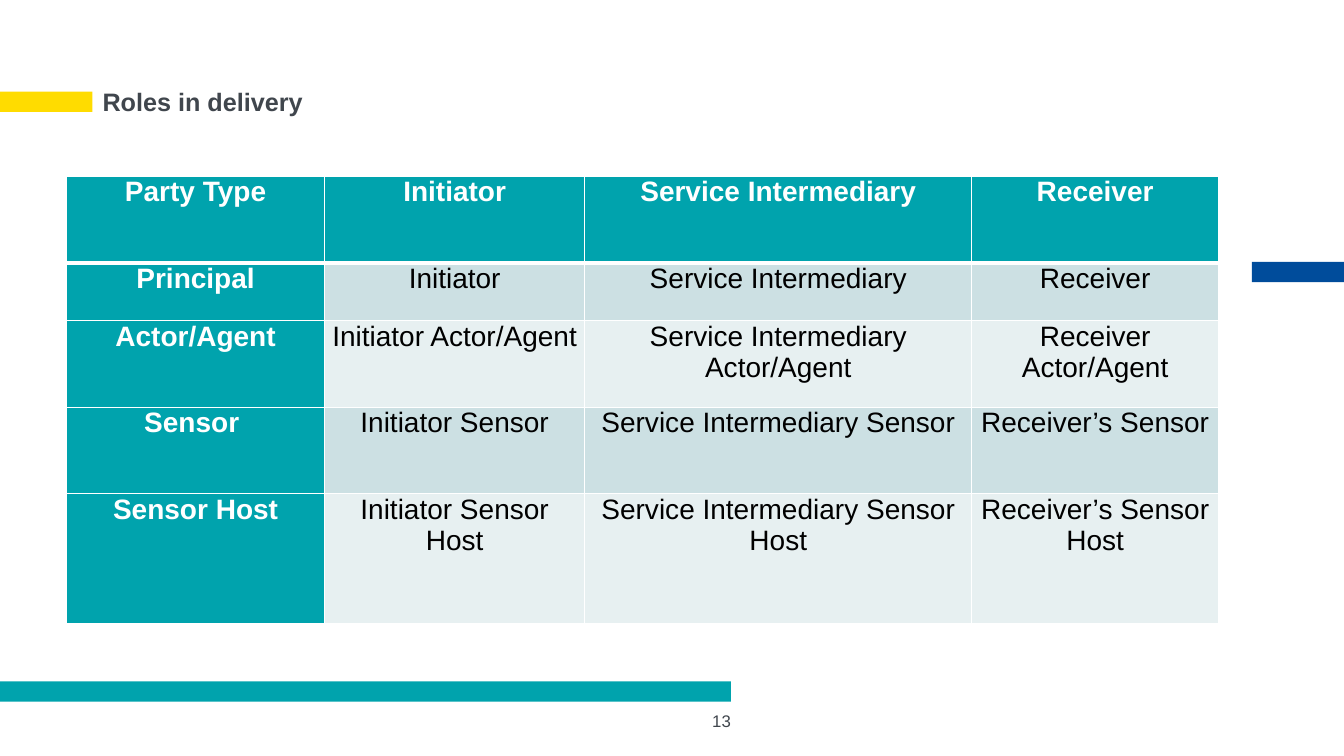
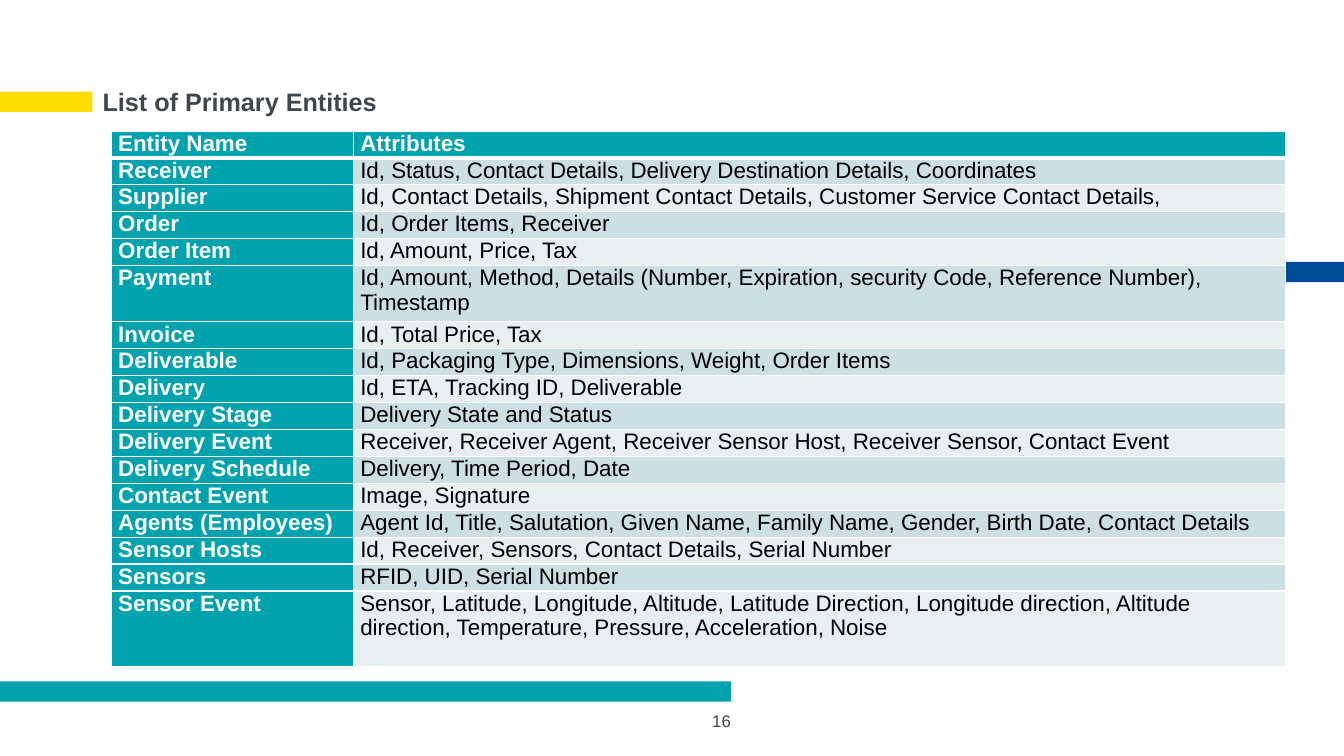
from lxml.etree import SubElement
from pptx import Presentation
from pptx.dml.color import RGBColor
from pptx.enum.shapes import MSO_SHAPE
from pptx.enum.text import MSO_ANCHOR, MSO_AUTO_SIZE, PP_ALIGN
from pptx.oxml.ns import qn
from pptx.util import Cm, Pt

FONT = "Arial"
TEAL = RGBColor(0x00, 0xA3, 0xAD)
YELLOW = RGBColor(0xFF, 0xDC, 0x00)
BLUE = RGBColor(0x00, 0x4C, 0x9B)
GREY = RGBColor(0x40, 0x46, 0x4D)
WHITE = RGBColor(0xFF, 0xFF, 0xFF)
BLACK = RGBColor(0x00, 0x00, 0x00)
ROW_TINTS = (RGBColor(0xCC, 0xE0, 0xE3), RGBColor(0xE7, 0xF0, 0xF1))

TITLE_ONLY = 5
BAND_HEIGHT = 0.51
# left, top, width in centimetres, colour
BANDS = (
    (0, 2.31, 2.33, YELLOW),
    (0, 17.17, 18.42, TEAL),
    (31.55, 6.6, 2.32, BLUE),
)

ROLES = (
    ("Party Type", "Initiator", "Service Intermediary", "Receiver"),
    ("Principal", "Initiator", "Service Intermediary", "Receiver"),
    ("Actor/Agent", "Initiator Actor/Agent",
     "Service Intermediary Actor/Agent", "Receiver Actor/Agent"),
    ("Sensor ", "Initiator Sensor",
     "Service Intermediary Sensor", "Receiver’s Sensor"),
    ("Sensor Host", "Initiator Sensor Host",
     "Service Intermediary Sensor Host", "Receiver’s Sensor Host"),
)
ROLE_COLUMNS = (6.5, 6.56, 9.75, 6.22)
ROLE_ROWS = (2.18, 1.45, 2.18, 2.18, 3.28)

ENTITIES = (
    ("Entity Name", "Attributes"),
    ("Receiver", "Id, Status, Contact Details, Delivery Destination Details, Coordinates"),
    ("Supplier", "Id, Contact Details, Shipment Contact Details, "
                 "Customer Service Contact Details,"),
    ("Order", "Id, Order Items, Receiver"),
    ("Order Item", "Id, Amount, Price, Tax"),
    ("Payment", "Id, Amount, Method, Details (Number, Expiration, security Code, "
                "Reference Number), Timestamp"),
    ("Invoice", "Id, Total Price, Tax"),
    ("Deliverable", "Id, Packaging Type, Dimensions, Weight, Order Items"),
    ("Delivery", "Id, ETA, Tracking ID, Deliverable"),
    ("Delivery Stage", "Delivery State and Status"),
    ("Delivery Event", "Receiver, Receiver Agent, Receiver Sensor Host, "
                       "Receiver Sensor, Contact Event"),
    ("Delivery Schedule", "Delivery, Time Period, Date"),
    ("Contact Event", "Image, Signature"),
    ("Agents (Employees)", "Agent Id, Title, Salutation, Given Name, Family Name, "
                           "Gender, Birth Date, Contact Details"),
    ("Sensor Hosts", "Id, Receiver, Sensors, Contact Details, Serial Number"),
    ("Sensors", "RFID, UID, Serial Number"),
    ("Sensor Event", "Sensor, Latitude, Longitude, Altitude, Latitude Direction, "
                     "Longitude direction, Altitude direction, Temperature, Pressure, "
                     "Acceleration, Noise"),
)
ENTITY_COLUMNS = (6.1, 23.5)
TALL_ENTITY_ROWS = {"Payment": 1.42, "Sensor Event": 1.9}
ENTITY_ROWS = [TALL_ENTITY_ROWS.get(name, 0.63) for name, _ in ENTITIES]


def style_text(para, size, color, bold=False, align=PP_ALIGN.LEFT):
    para.alignment = align
    for span in para.runs:
        span.font.name = FONT
        span.font.size = Pt(size)
        span.font.bold = bold
        span.font.color.rgb = color


def add_band(slide, left, top, width, color):
    band = slide.shapes.add_shape(
        MSO_SHAPE.RECTANGLE, Cm(left), Cm(top), Cm(width), Cm(BAND_HEIGHT))
    band.shadow.inherit = False
    band.fill.solid()
    band.fill.fore_color.rgb = color
    band.line.fill.background()


def set_title(slide, text):
    title = slide.shapes.title
    title.left, title.top, title.width, title.height = (
        Cm(2.33), Cm(0.76), Cm(26.47), Cm(3.68))
    frame = title.text_frame
    frame.text = text
    frame.auto_size = MSO_AUTO_SIZE.NONE
    frame.vertical_anchor = MSO_ANCHOR.MIDDLE
    para = frame.paragraphs[0]
    para.line_spacing = 0.9
    style_text(para, 18, GREY, bold=True)


def add_page_number(slide, number):
    box = slide.shapes.add_textbox(Cm(13.87), Cm(17.65), Cm(4.8), Cm(1.02))
    frame = box.text_frame
    frame.word_wrap = True
    frame.vertical_anchor = MSO_ANCHOR.MIDDLE
    frame.text = str(number)
    style_text(frame.paragraphs[0], 12, GREY, align=PP_ALIGN.RIGHT)


def add_page(deck, title, number):
    """Add a slide with the shared bands, title and page number."""
    slide = deck.slides.add_slide(deck.slide_layouts[TITLE_ONLY])
    for band in BANDS:
        add_band(slide, *band)
    set_title(slide, title)
    add_page_number(slide, number)
    return slide


def set_borders(cell, top, bottom):
    """Draw white borders; top and bottom are widths in points."""
    properties = cell._tc.get_or_add_tcPr()
    for side, width in (("L", 1), ("R", 1), ("T", top), ("B", bottom)):
        line = SubElement(properties, qn(f"a:ln{side}"), w=str(Pt(width)))
        fill = SubElement(line, qn("a:solidFill"))
        SubElement(fill, qn("a:srgbClr"), val=str(WHITE))


def fill_cell(cell, text, row, column, size, align):
    set_borders(cell, top=3 if row == 1 else 1, bottom=3 if row == 0 else 1)
    heading = row == 0 or column == 0
    cell.fill.solid()
    cell.fill.fore_color.rgb = TEAL if heading else ROW_TINTS[(row - 1) % 2]
    cell.margin_left = cell.margin_right = Cm(0.18)
    cell.margin_top = cell.margin_bottom = 0
    cell.vertical_anchor = MSO_ANCHOR.TOP
    cell.text_frame.text = text
    style_text(cell.text_frame.paragraphs[0], size,
               WHITE if heading else BLACK, heading, align)


def add_grid(slide, left, top, rows, widths, heights, size, align=PP_ALIGN.LEFT):
    """Add a table with a teal header row and a teal first column."""
    table = slide.shapes.add_table(
        len(rows), len(widths), Cm(left), Cm(top),
        Cm(sum(widths)), Cm(sum(heights))).table
    table.first_col = True
    table.horz_banding = False
    for column, width in zip(table.columns, widths):
        column.width = Cm(width)
    for row, height in zip(table.rows, heights):
        row.height = Cm(height)
    for row, texts in enumerate(rows):
        for column, text in enumerate(texts):
            fill_cell(table.cell(row, column), text, row, column, size, align)


def main():
    deck = Presentation()
    deck.slide_width, deck.slide_height = Cm(33.87), Cm(19.05)

    roles_page = add_page(deck, "Roles in delivery", 13)
    add_grid(roles_page, 1.68, 4.45, ROLES, ROLE_COLUMNS, ROLE_ROWS, 20, PP_ALIGN.CENTER)

    entities_page = add_page(deck, "List of Primary Entities", 16)
    add_grid(entities_page, 2.8, 3.3, ENTITIES, ENTITY_COLUMNS, ENTITY_ROWS, 16)

    deck.save("out.pptx")


if __name__ == "__main__":
    main()
